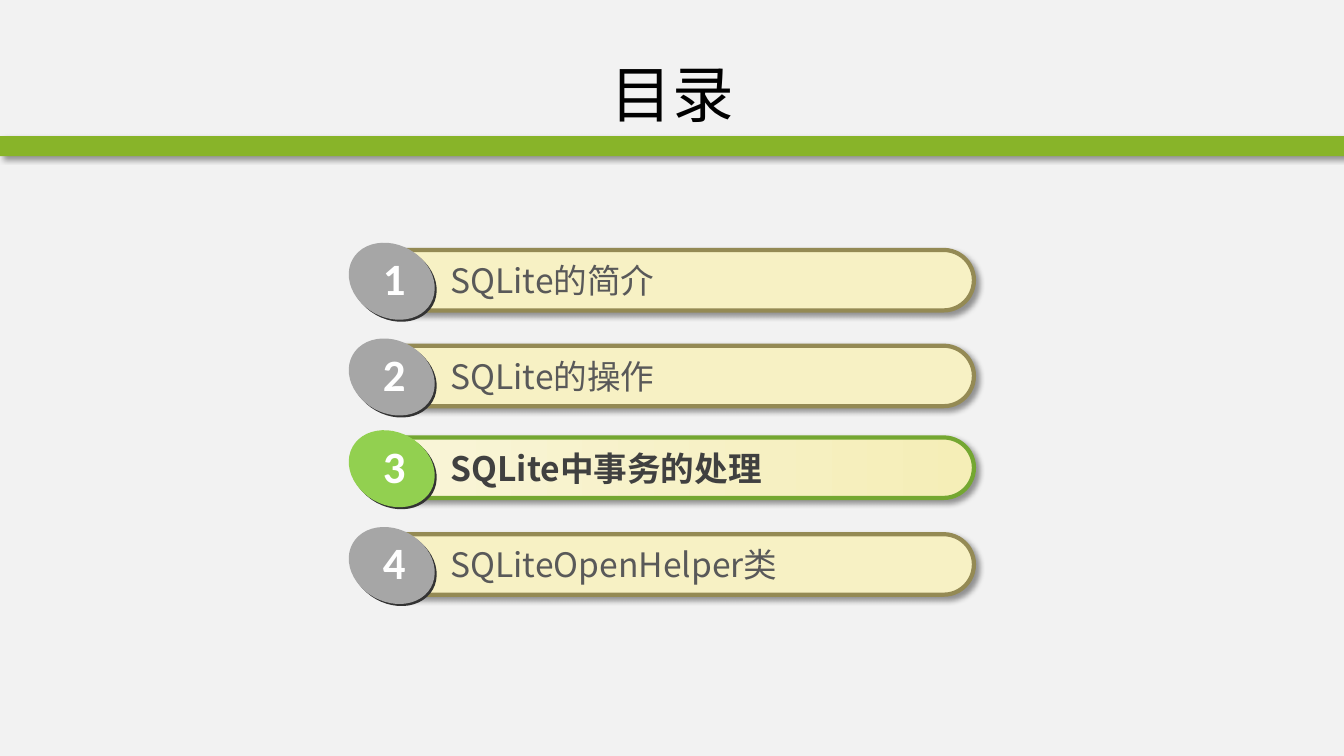
from dataclasses import dataclass

from lxml import etree
from pptx import Presentation
from pptx.dml.color import RGBColor
from pptx.enum.shapes import MSO_SHAPE
from pptx.enum.text import MSO_ANCHOR, MSO_AUTO_SIZE, PP_ALIGN
from pptx.oxml.ns import qn
from pptx.util import Inches, Pt

RECTANGLE = MSO_SHAPE.RECTANGLE
ROUNDED = MSO_SHAPE.ROUNDED_RECTANGLE
OVAL = MSO_SHAPE.OVAL
MIDDLE = MSO_ANCHOR.MIDDLE
GROW = MSO_AUTO_SIZE.SHAPE_TO_FIT_TEXT
LEFT = PP_ALIGN.LEFT
CENTER = PP_ALIGN.CENTER


@dataclass(frozen=True)
class Theme:
    """Colours, fonts and type sizes of the slide."""
    background: str = "F2F2F2"
    band: str = "88B429"
    title: str = "000000"
    number: str = "FFFFFF"
    disc_edge: str = "333333"
    disc: str = "A6A6A6"
    disc_active: str = "92D050"
    bar: str = "F7F1C4"
    bar_active: tuple = ("F9F5D9", "F5EEB7")
    border: str = "948A54"
    border_active: str = "74A731"
    label: str = "595959"
    label_active: str = "404040"
    text_font: str = "Noto Sans CJK SC"
    number_font: str = "Calibri"
    title_size: int = 44
    number_size: int = 32
    label_size: int = 24


class AgendaSlide:
    """Draws agenda elements on one slide in one theme."""

    def __init__(self, page, theme):
        self.page = page
        self.theme = theme
        fill = page.background.fill
        fill.solid()
        fill.fore_color.rgb = RGBColor.from_string(theme.background)

    def shape(self, parent, kind, place, color, border=None, shadow=False):
        """Add a filled preset shape; a pair of colours makes a gradient."""
        shape = parent.shapes.add_shape(kind, *map(Inches, place))
        if isinstance(color, tuple):
            shape.fill.gradient()
            shape.fill.gradient_angle = 0
            for stop, position, tone in zip(shape.fill.gradient_stops, (0, 1), color):
                stop.position = position
                stop.color.rgb = RGBColor.from_string(tone)
        else:
            shape.fill.solid()
            shape.fill.fore_color.rgb = RGBColor.from_string(color)
        if border:
            shape.line.color.rgb = RGBColor.from_string(border)
            shape.line.width = Pt(3)
        else:
            shape.line.fill.background()
        shape.shadow.inherit = False
        if shadow:
            self.cast_shadow(shape)
        return shape

    def cast_shadow(self, shape):
        """Give a shape a soft shadow to the lower right."""
        effects = shape._element.spPr.find(qn("a:effectLst"))
        outer = etree.SubElement(
            effects, qn("a:outerShdw"), blurRad=str(Pt(4)), dist=str(Pt(3)),
            dir=str(45 * 60000), algn="tl", rotWithShape="0")
        color = etree.SubElement(outer, qn("a:srgbClr"), val="000000")
        etree.SubElement(color, qn("a:alpha"), val="40000")

    def text(self, parent, place, words, font, size, color, bold=False,
             align=LEFT, wrap=True):
        """Add a text box with one paragraph."""
        box = parent.shapes.add_textbox(*map(Inches, place))
        frame = box.text_frame
        frame.text = words
        frame.word_wrap = wrap
        para = frame.paragraphs[0]
        para.alignment = align
        span = para.runs[0]
        span.font.name = font
        span.font.size = Pt(size)
        span.font.bold = bold
        span.font.color.rgb = RGBColor.from_string(color)
        properties = span.font._element
        etree.SubElement(properties, qn("a:ea"), typeface=font)
        return frame

    def band(self):
        """Add the full-width band below the title."""
        self.shape(self.page, RECTANGLE, (0, 1.35, 13.33, 0.2),
                   self.theme.band, shadow=True)

    def title(self, words):
        """Add the centred slide title."""
        theme = self.theme
        frame = self.text(self.page, (0.67, 0.3, 12, 1.25), words, theme.text_font,
                          theme.title_size, theme.title, align=CENTER)
        frame.vertical_anchor = MIDDLE

    def item(self, number, words, top, active=False):
        """Add one numbered agenda entry as a group."""
        theme = self.theme
        group = self.page.shapes.add_group_shape()
        bar = self.shape(group, ROUNDED, (3.66, top, 6, 0.6),
                         theme.bar_active if active else theme.bar,
                         theme.border_active if active else theme.border, shadow=True)
        bar.adjustments[0] = 0.5
        label = self.text(group, (4.37, top + 0.05, 4.9, 0.5), words, theme.text_font,
                          theme.label_size,
                          theme.label_active if active else theme.label, bold=active)
        label.auto_size = GROW
        face = theme.disc_active if active else theme.disc
        for left, lift, color in ((3.46, 0.03, theme.disc_edge), (3.44, 0.05, face)):
            disc = self.shape(group, OVAL, (left, top - lift, 0.89, 0.72), color)
            disc.rotation = 29.3
        digit = self.text(group, (3.7, top - 0.04, 0.43, 0.64), str(number),
                          theme.number_font, theme.number_size, theme.number,
                          bold=True, wrap=False)
        digit.auto_size = GROW


def main():
    """Build and save the agenda slide."""
    deck = Presentation()
    deck.slide_width = Inches(13.33)
    deck.slide_height = Inches(7.5)
    agenda = AgendaSlide(deck.slides.add_slide(deck.slide_layouts[6]), Theme())
    agenda.band()
    agenda.title("目录")
    entries = (
        ("SQLite的简介", 2.48),
        ("SQLite的操作", 3.43),
        ("SQLite中事务的处理", 4.34),
        ("SQLiteOpenHelper类", 5.3),
    )
    for number, (words, top) in enumerate(entries, start=1):
        agenda.item(number, words, top, active=number == 3)
    deck.save("out.pptx")


if __name__ == "__main__":
    main()
